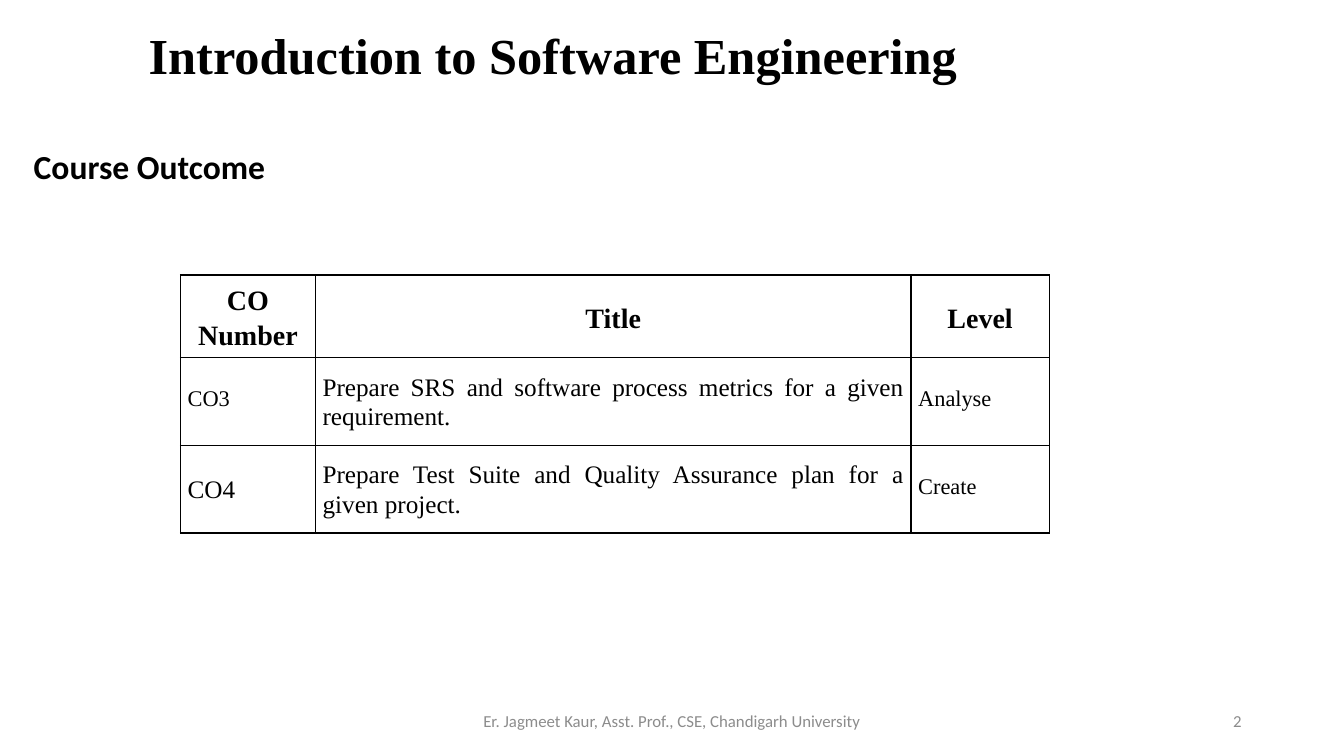
from lxml import etree
from pptx import Presentation
from pptx.dml.color import RGBColor
from pptx.enum.text import MSO_ANCHOR, MSO_AUTO_SIZE, PP_ALIGN
from pptx.oxml.ns import qn
from pptx.util import Cm, Pt

LEFT, CENTER, RIGHT, JUSTIFY = PP_ALIGN.LEFT, PP_ALIGN.CENTER, PP_ALIGN.RIGHT, PP_ALIGN.JUSTIFY
MIDDLE, BOTTOM = MSO_ANCHOR.MIDDLE, MSO_ANCHOR.BOTTOM
NO_AUTOSIZE = MSO_AUTO_SIZE.NONE

COLORS = {"text": "000000", "muted": "8C8C8C", "border": "000000"}
SERIF, SANS = "Times New Roman", "Calibri"
TITLE_ONLY = 5

COLUMN_WIDTHS = (3.4, 15.01, 3.48)
ROW_HEIGHTS = (2.08, 2.21, 2.21)

# Style: size, bold, alignment, line spacing, space after
HEADER = (20, True, CENTER, 1.15, 0)
LABEL = (16, False, LEFT, Pt(14.6), 0)
BODY = (18, False, JUSTIFY, 1.07, 8)

OUTCOMES = (
    (("CO Number", HEADER), ("Title", HEADER), ("Level", HEADER)),
    (("CO3", LABEL),
     ("Prepare SRS and software process metrics for a given requirement.", BODY),
     ("Analyse", LABEL)),
    (("CO4", BODY),
     ("Prepare Test Suite and Quality Assurance plan for a given project.", BODY),
     ("Create", LABEL)),
)


def write(tf, text, size, font, color="text", bold=False, align=LEFT):
    tf.text = text
    p = tf.paragraphs[0]
    p.alignment = align
    for r in p.runs:
        r.font.size = Pt(size)
        r.font.name = font
        r.font.bold = bold
        r.font.color.rgb = RGBColor.from_string(COLORS[color])
    return p


def add_title(slide, text):
    sp = slide.shapes.title
    sp.left, sp.top, sp.width, sp.height = Cm(2.67), Cm(0.64), Cm(22.53), Cm(2.18)
    tf = sp.text_frame
    tf.auto_size = NO_AUTOSIZE
    tf.vertical_anchor = BOTTOM
    tf.margin_bottom = Cm(0.66)
    write(tf, text, 36, SERIF, bold=True, align=CENTER).line_spacing = 0.9


def add_text(slide, text, box, size, wrap=True, anchor=None, **style):
    tf = slide.shapes.add_textbox(*(Cm(v) for v in box)).text_frame
    tf.word_wrap = wrap
    tf.vertical_anchor = anchor
    write(tf, text, size, SANS, **style)


def set_borders(cell):
    tc_pr = cell._tc.get_or_add_tcPr()
    for side in ("lnL", "lnR", "lnT", "lnB"):
        ln = etree.SubElement(tc_pr, qn(f"a:{side}"), w=str(Pt(1)))
        fill = etree.SubElement(ln, qn("a:solidFill"))
        etree.SubElement(fill, qn("a:srgbClr"), val=COLORS["border"])


def format_cell(cell, text, style):
    size, bold, align, spacing, after = style
    set_borders(cell)
    cell.fill.background()
    cell.vertical_anchor = MIDDLE
    cell.margin_left = cell.margin_right = Cm(0.18)
    cell.margin_top = cell.margin_bottom = 0
    p = write(cell.text_frame, text, size, SERIF, bold=bold, align=align)
    p.line_spacing = spacing
    p.space_after = Pt(after)


def add_outcome_table(slide):
    table = slide.shapes.add_table(
        len(ROW_HEIGHTS), len(COLUMN_WIDTHS), Cm(4.55), Cm(6.93),
        Cm(sum(COLUMN_WIDTHS)), Cm(sum(ROW_HEIGHTS))).table
    table.first_row = table.horz_banding = False
    for column, width in zip(table.columns, COLUMN_WIDTHS):
        column.width = Cm(width)
    for row, height, outcome in zip(table.rows, ROW_HEIGHTS, OUTCOMES):
        row.height = Cm(height)
        for cell, (text, style) in zip(row.cells, outcome):
            format_cell(cell, text, style)


def main():
    prs = Presentation()
    prs.slide_width, prs.slide_height = Cm(33.87), Cm(19.05)
    slide = prs.slides.add_slide(prs.slide_layouts[TITLE_ONLY])
    add_title(slide, "Introduction to Software Engineering")
    add_outcome_table(slide)
    add_text(slide, "Course Outcome", (0.6, 3.56, 6.6, 1.28), 24, wrap=False, bold=True)
    add_text(slide, "2", (23.92, 17.66, 7.62, 1.01), 12,
             anchor=MIDDLE, color="muted", align=RIGHT)
    add_text(slide, "Er. Jagmeet Kaur, Asst. Prof., CSE, Chandigarh University",
             (11.22, 17.66, 11.43, 1.01), 12, anchor=MIDDLE, color="muted", align=CENTER)
    prs.save("out.pptx")


if __name__ == "__main__":
    main()
